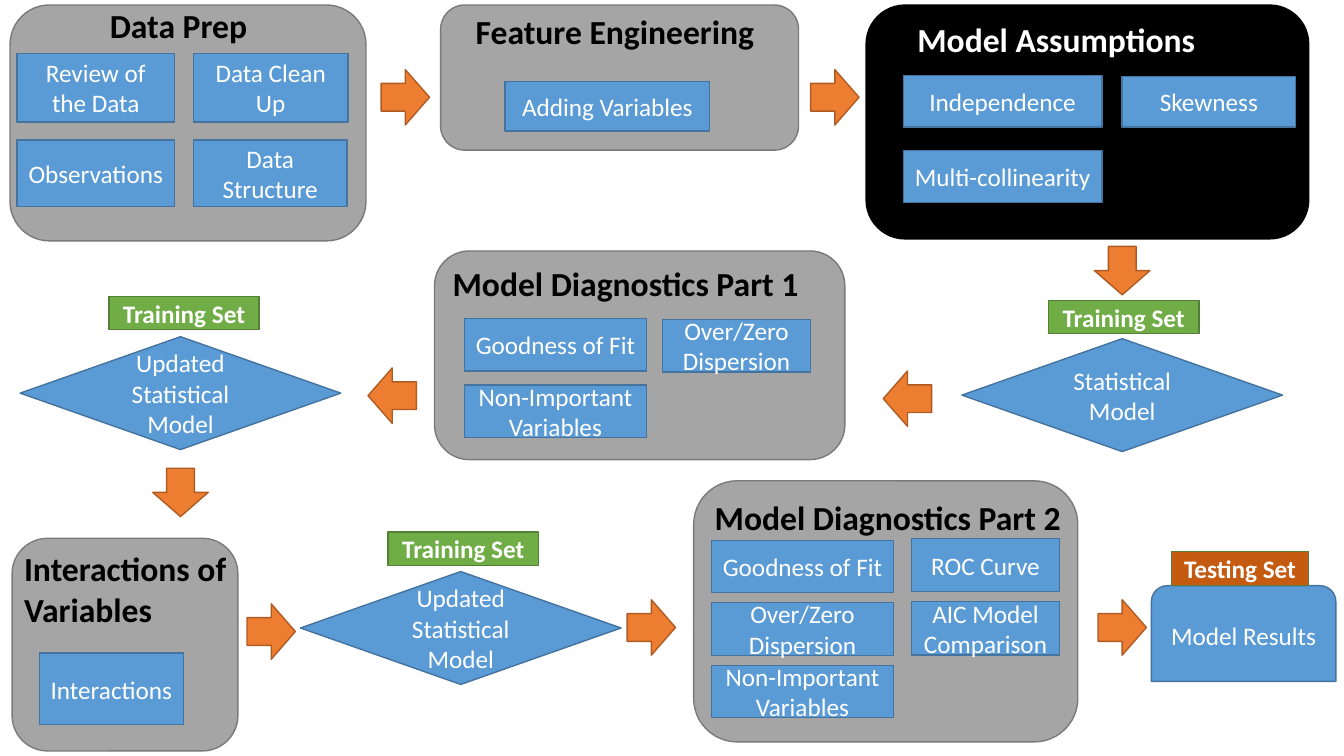
from pptx import Presentation
from pptx.dml.color import RGBColor
from pptx.enum.shapes import MSO_SHAPE as SHAPE
from pptx.enum.text import MSO_ANCHOR as ANCHOR, MSO_AUTO_SIZE as AUTO, PP_ALIGN as ALIGN
from pptx.util import Inches, Pt

BLUE = ("5B9BD5", "43739E")
GRAY = ("A5A5A5", "7A7A7A")
BLACK = ("000000", "000000")
ORANGE = ("ED7D31", "AF5C24")
GREEN = ("70AD47", "538035")
RUST = ("C55A11", "538035")


def color(value):
    return RGBColor.from_string(value)


class Flowchart:
    label_font = {"name": "Calibri", "size": Pt(18), "bold": False}
    title_font = {"name": "Calibri", "size": Pt(24), "bold": True}

    def __init__(self, slide):
        self.slide = slide

    def set_text(self, tf, text, font, ink, align):
        tf.word_wrap = True
        p = tf.paragraphs[0]
        p.alignment = align
        r = p.add_run()
        r.text = text
        for name, value in font.items():
            setattr(r.font, name, value)
        r.font.color.rgb = color(ink)

    def shape(self, kind, box, colors, text="", bold=False, parent=None):
        shapes = (parent or self.slide).shapes
        sp = shapes.add_shape(kind, *map(Inches, box))
        fill, line = colors
        sp.shadow.inherit = False
        sp.fill.solid()
        sp.fill.fore_color.rgb = color(fill)
        sp.line.color.rgb = color(line)
        sp.line.width = Pt(1)
        if text:
            sp.text_frame.vertical_anchor = ANCHOR.MIDDLE
            font = {**self.label_font, "bold": bold}
            self.set_text(sp.text_frame, text, font, "FFFFFF", ALIGN.CENTER)
        return sp

    def panel(self, box, title, title_box, steps, colors=GRAY, ink="000000"):
        """Group a rounded panel with its heading and its step boxes."""
        group = self.slide.shapes.add_group_shape()
        self.shape(SHAPE.ROUNDED_RECTANGLE, box, colors, parent=group)
        tb = group.shapes.add_textbox(*map(Inches, title_box))
        tb.text_frame.auto_size = AUTO.SHAPE_TO_FIT_TEXT
        self.set_text(tb.text_frame, title, self.title_font, ink, ALIGN.LEFT)
        for text, *step_box in steps:
            self.shape(SHAPE.FLOWCHART_PROCESS, step_box, BLUE, text, parent=group)

    def model(self, left, top, text):
        self.shape(SHAPE.DIAMOND, (left, top, 3.18, 1.12), BLUE, text)

    def tag(self, box, text, colors=GREEN):
        self.shape(SHAPE.FLOWCHART_PROCESS, box, colors, text, bold=True)

    def arrow(self, left, top, rotation=0):
        sp = self.shape(SHAPE.RIGHT_ARROW, (left, top, 0.48, 0.55), ORANGE)
        sp.rotation = rotation


def main():
    prs = Presentation()
    prs.slide_width, prs.slide_height = Inches(13.33), Inches(7.5)
    s = prs.slides.add_slide(prs.slide_layouts[6])
    chart = Flowchart(s)

    chart.panel((0.1, 0.05, 3.53, 2.34), "Data Prep", (0.99, 0, 1.91, 0.5), [
        ("Review of the Data", 0.17, 0.53, 1.56, 0.68),
        ("Data Clean Up", 1.92, 0.53, 1.53, 0.68),
        ("Observations", 0.17, 1.39, 1.56, 0.66),
        ("Data Structure", 1.92, 1.39, 1.52, 0.66),
    ])
    chart.panel((4.37, 0.05, 3.55, 1.44), "Feature Engineering", (4.62, 0.06, 3.04, 0.5), [
        ("Adding Variables", 5.01, 0.81, 2.03, 0.49),
    ])
    chart.panel((8.59, 0.05, 4.39, 2.32), "Model Assumptions", (9, 0.14, 3.97, 0.5), [
        ("Independence", 8.96, 0.75, 1.97, 0.51),
        ("Skewness", 11.13, 0.76, 1.72, 0.5),
        ("Multi-collinearity", 8.96, 1.49, 1.97, 0.52),
    ], BLACK, "FFFFFF")
    chart.panel((4.31, 2.49, 4.07, 2.07), "Model Diagnostics Part 1", (4.39, 2.56, 3.85, 0.5), [
        ("Goodness of Fit", 4.61, 3.16, 1.8, 0.52),
        ("Over/Zero Dispersion", 6.57, 3.17, 1.47, 0.52),
        ("Non-Important Variables", 4.61, 3.82, 1.8, 0.52),
    ])
    chart.panel((0.12, 5.34, 2.24, 2.11), "Interactions of Variables", (0.14, 5.39, 3.19, 0.91), [
        ("Interactions", 0.39, 6.48, 1.43, 0.71),
    ])
    chart.panel((6.88, 4.77, 3.81, 2.59), "Model Diagnostics Part 2", (6.99, 4.88, 3.84, 0.5), [
        ("Goodness of Fit", 7.06, 5.36, 1.8, 0.52),
        ("Over/Zero Dispersion", 7.06, 5.98, 1.8, 0.52),
        ("Non-Important Variables", 7.06, 6.6, 1.8, 0.52),
        ("ROC Curve", 9.04, 5.34, 1.47, 0.53),
        ("AIC Model Comparison", 9.04, 5.97, 1.47, 0.53),
    ])

    for left, top, text, tag_left, tag_top in [
        (9.54, 3.36, "Statistical Model", 10.4, 2.98),
        (0.2, 3.34, "Updated Statistical Model", 1.08, 2.94),
        (2.98, 5.67, "Updated Statistical Model", 3.85, 5.28),
    ]:
        chart.model(left, top, text)
        chart.tag((tag_left, tag_top, 1.49, 0.33), "Training Set")

    chart.shape(SHAPE.ROUND_2_SAME_RECTANGLE, (11.42, 5.81, 1.83, 0.95), BLUE, "Model Results")
    chart.tag((11.62, 5.47, 1.36, 0.34), "Testing Set", RUST)

    for left, top, rotation in [
        (3.78, 0.69, 0), (8.04, 0.69, 0), (10.89, 2.41, 90),
        (8.76, 3.68, 180), (3.65, 3.65, 180), (1.55, 4.61, 90),
        (2.45, 5.99, 0), (6.22, 5.95, 0), (10.89, 5.95, 0),
    ]:
        chart.arrow(left, top, rotation)

    prs.save("out.pptx")


if __name__ == "__main__":
    main()
